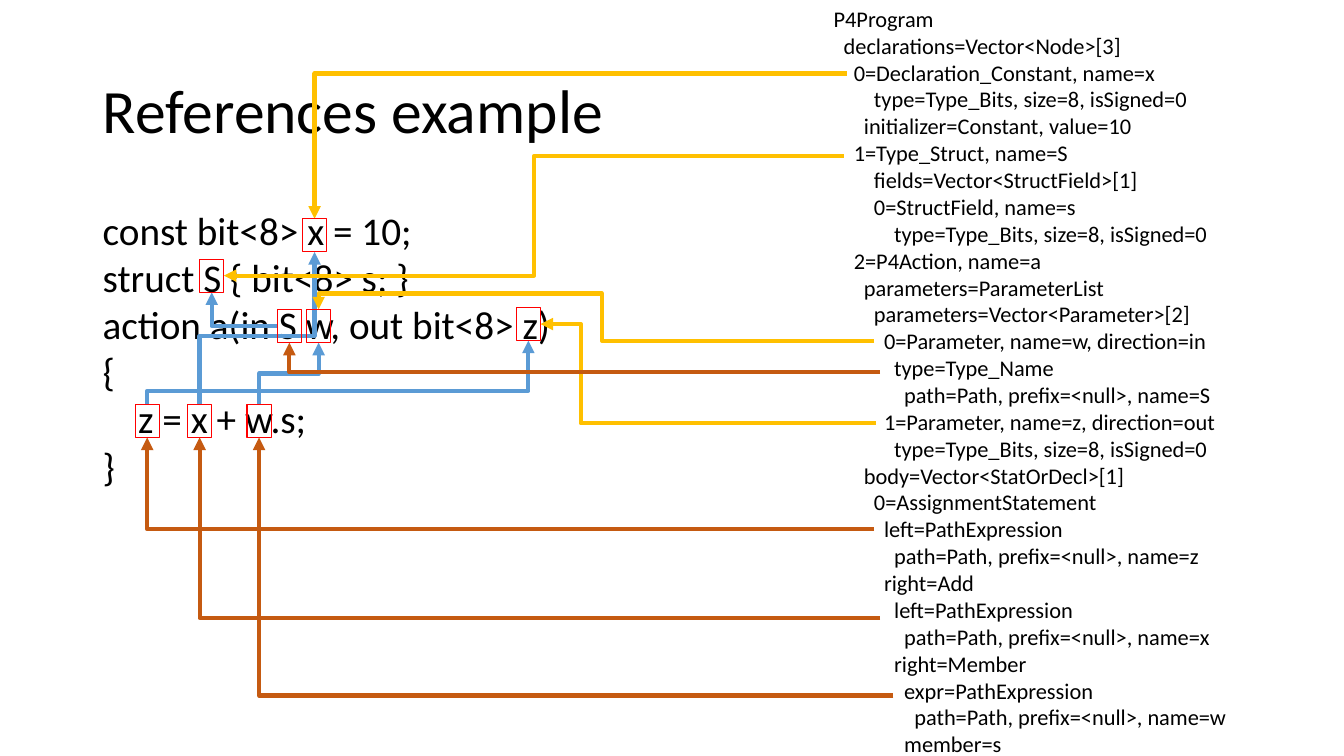
from lxml import etree
from pptx import Presentation
from pptx.dml.color import RGBColor
from pptx.enum.shapes import MSO_CONNECTOR, MSO_SHAPE
from pptx.enum.text import MSO_ANCHOR, MSO_AUTO_SIZE, PP_ALIGN
from pptx.oxml.ns import qn
from pptx.util import Inches, Pt

ELBOW = MSO_CONNECTOR.ELBOW
RECTANGLE = MSO_SHAPE.RECTANGLE
LEFT, TOP, MIDDLE = PP_ALIGN.LEFT, MSO_ANCHOR.TOP, MSO_ANCHOR.MIDDLE

BLACK, RED = "000000", "FF0000"
BLUE, GOLD, RUST = "5B9BD5", "FFC000", "C55A11"
TOKEN_WIDTH, TOKEN_HEIGHT = 0.24, 0.33

CODE_LINES = [
    "const bit<8> x = 10;",
    "struct S { bit<8> s; }",
    "action a(in S w, out bit<8> z)",
    "{",
    "    z = x + w.s;",
    "}",
]

TREE_LINES = [
    "P4Program",
    "  declarations=Vector<Node>[3]",
    "    0=Declaration_Constant, name=x",
    "        type=Type_Bits, size=8, isSigned=0",
    "      initializer=Constant, value=10",
    "    1=Type_Struct, name=S",
    "        fields=Vector<StructField>[1]",
    "        0=StructField, name=s",
    "            type=Type_Bits, size=8, isSigned=0",
    "    2=P4Action, name=a",
    "      parameters=ParameterList",
    "        parameters=Vector<Parameter>[2]",
    "          0=Parameter, name=w, direction=in",
    "            type=Type_Name",
    "              path=Path, prefix=<null>, name=S",
    "          1=Parameter, name=z, direction=out",
    "            type=Type_Bits, size=8, isSigned=0",
    "      body=Vector<StatOrDecl>[1]",
    "        0=AssignmentStatement",
    "          left=PathExpression",
    "            path=Path, prefix=<null>, name=z",
    "          right=Add",
    "            left=PathExpression",
    "              path=Path, prefix=<null>, name=x",
    "            right=Member",
    "              expr=PathExpression",
    "                path=Path, prefix=<null>, name=w",
    "              member=s",
]

# Left and top of the box around each marked token in the code
TOKENS = {
    "x declared": (3.00, 2.17),
    "S declared": (1.98, 2.57),
    "S used": (2.75, 3.07),
    "w declared": (3.04, 3.07),
    "z declared": (5.12, 3.05),
    "z used": (1.34, 4.01),
    "x used": (1.86, 4.01),
    "w used": (2.45, 4.01),
}
SIDES = {"top": (0.5, 0), "bottom": (0.5, 1), "left": (0, 0.5), "right": (1, 0.5)}

# Start (a token side or a point by the tree), end, colour, bends
REFERENCES = [
    (("z used", "top"), ("z declared", "bottom"), BLUE, [0.21]),
    (("x used", "top"), ("x declared", "bottom"), BLUE, [0.45]),
    (("w used", "top"), ("w declared", "bottom"), BLUE, [0.5]),
    (("S used", "left"), ("S declared", "bottom"), BLUE, []),
    ((8.40, 0.73), ("x declared", "top"), GOLD, []),
    ((8.37, 1.55), ("S declared", "right"), GOLD, [0.5]),
    ((8.67, 3.38), ("w declared", "top"), GOLD, [0.49, 1.51]),
    ((8.69, 4.20), ("z declared", "right"), GOLD, [0.88]),
    ((8.73, 3.69), ("S used", "bottom"), RUST, []),
    ((8.67, 5.25), ("z used", "bottom"), RUST, []),
    ((8.73, 6.13), ("x used", "bottom"), RUST, []),
    ((8.86, 6.90), ("w used", "bottom"), RUST, []),
]


def color(hex_value):
    return RGBColor.from_string(hex_value)


def locate(end):
    """Return the point in inches for a (token, side) pair or a plain point."""
    if end[0] not in TOKENS:
        return end
    (left, top), (across, down) = TOKENS[end[0]], SIDES[end[1]]
    return left + across * TOKEN_WIDTH, top + down * TOKEN_HEIGHT


presentation = Presentation()
presentation.slide_width = Inches(13.33)
presentation.slide_height = Inches(7.5)
slide = presentation.slides.add_slide(presentation.slide_layouts[5])

title = slide.shapes.title
code_box = slide.shapes.add_textbox(0, 0, 0, 0)
tree_box = slide.shapes.add_textbox(0, 0, 0, 0)
for shape, lines, box, size, anchor, line_spacing in [
    (title, ["References example"], (0.92, 0.4, 11.5, 1.45), 44, MIDDLE, 0.9),
    (code_box, CODE_LINES, (0.92, 2, 4.81, 4.76), 28, TOP, 1.0),
    (tree_box, TREE_LINES, (8.17, 0, 5.16, 7.91), 16, TOP, 1.0),
]:
    shape.left, shape.top, shape.width, shape.height = map(Inches, box)
    frame = shape.text_frame
    frame.text = "\n".join(lines)
    frame.word_wrap = True
    frame.auto_size = MSO_AUTO_SIZE.NONE
    frame.vertical_anchor = anchor
    for paragraph in frame.paragraphs:
        paragraph.alignment = LEFT
        paragraph.line_spacing = line_spacing
        for name, value in {"name": "Calibri", "size": Pt(size)}.items():
            setattr(paragraph.font, name, value)
        paragraph.font.color.rgb = color(BLACK)

for start, end, line_color, bends in REFERENCES:
    (x1, y1), (x2, y2) = locate(start), locate(end)
    connector = slide.shapes.add_connector(ELBOW, *map(Inches, (x1, y1, x2, y2)))
    connector.line.color.rgb = color(line_color)
    connector.line.width = Pt(3)
    properties = connector.element.spPr

    # Arrows that leave upwards are turned a quarter, the others a half
    upward = start[1] == "top"
    width, height = abs(x2 - x1), abs(y2 - y1)
    if upward:
        width, height = height, width
    connector.width, connector.height = Inches(width), Inches(height)
    connector.left = Inches((x1 + x2 - width) / 2)
    connector.top = Inches((y1 + y2 - height) / 2)
    transform = properties.find(qn("a:xfrm"))
    transform.set("rot", str((90 if upward else 180) * 60000))
    transform.set("flipH", str(int(upward)))
    transform.set("flipV", str(int(upward or y2 > y1)))

    geometry = properties.find(qn("a:prstGeom"))
    geometry.set("prst", f"bentConnector{len(bends) + 2}")
    for number, bend in enumerate(bends, 1):
        etree.SubElement(geometry.find(qn("a:avLst")), qn("a:gd"),
                         name=f"adj{number}", fmla=f"val {round(bend * 100000)}")

    etree.SubElement(properties.find(qn("a:ln")), qn("a:tailEnd"), type="triangle")
    etree.SubElement(properties, qn("a:effectLst"))

for left, top in TOKENS.values():
    token = slide.shapes.add_shape(
        RECTANGLE, *map(Inches, (left, top, TOKEN_WIDTH, TOKEN_HEIGHT)))
    token.shadow.inherit = False
    token.fill.background()
    token.line.color.rgb = color(RED)
    token.line.width = Pt(0.75)

presentation.save("out.pptx")
